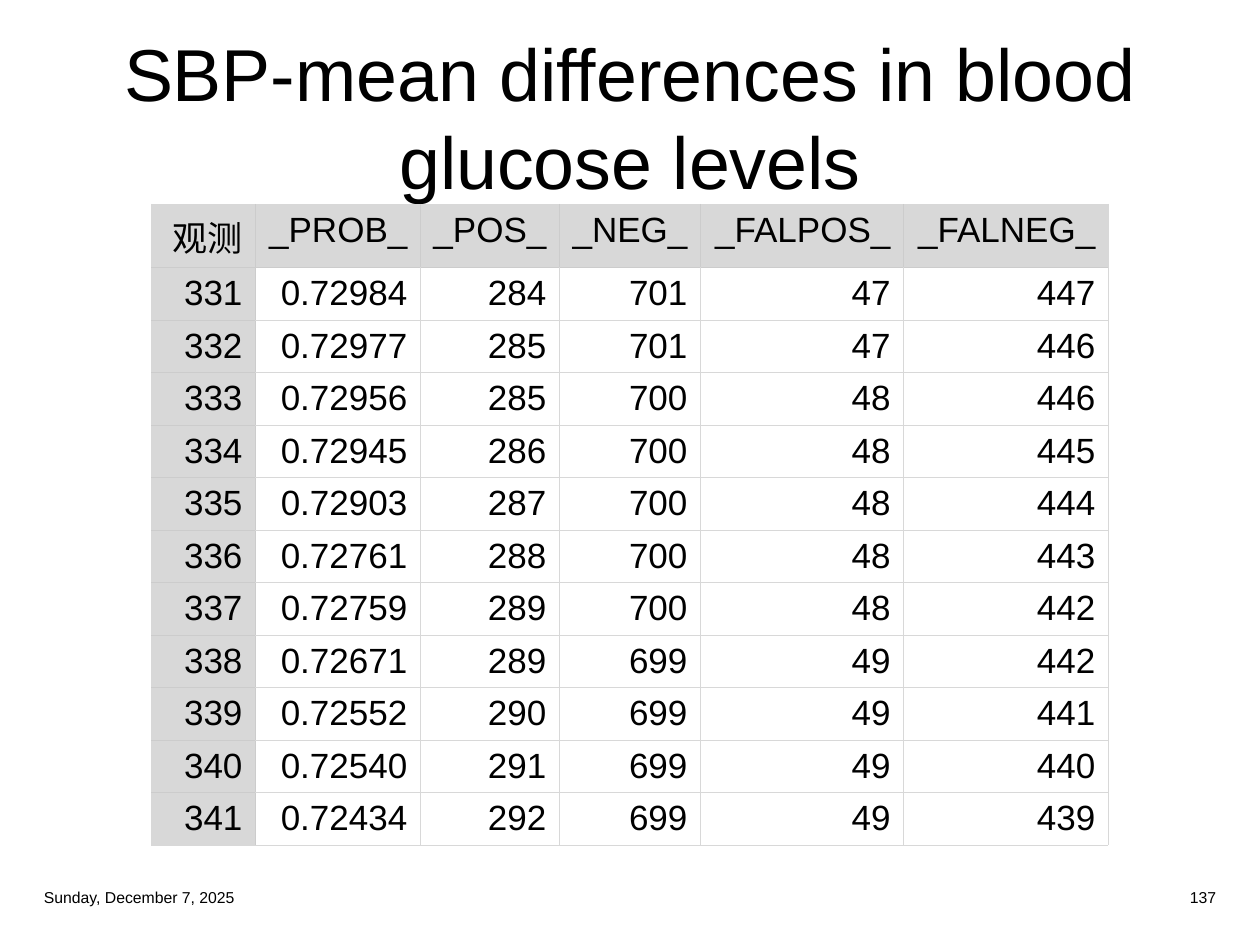
"""Build the slide on SBP mean differences in blood glucose levels."""
import pptx
import pptx.dml.color
import pptx.enum.text
import pptx.oxml
import pptx.oxml.ns
import pptx.util

Pt = pptx.util.Pt
ALIGN = pptx.enum.text.PP_ALIGN
MIDDLE = pptx.enum.text.MSO_ANCHOR.MIDDLE
COLORS = {"text": "000000", "header": "D8D8D8", "grid": "D8D8D8", "header_grid": "CCCCCC"}
FONT = "Arial"
COLUMN_WIDTHS = [59.3, 94.3, 79.4, 80.6, 116, 117.1]
ROW_HEIGHT = 30
ROWS = [
    ["观测", "_PROB_", "_POS_", "_NEG_", "_FALPOS_", "_FALNEG_"],
    ["331", "0.72984", "284", "701", "47", "447"],
    ["332", "0.72977", "285", "701", "47", "446"],
    ["333", "0.72956", "285", "700", "48", "446"],
    ["334", "0.72945", "286", "700", "48", "445"],
    ["335", "0.72903", "287", "700", "48", "444"],
    ["336", "0.72761", "288", "700", "48", "443"],
    ["337", "0.72759", "289", "700", "48", "442"],
    ["338", "0.72671", "289", "699", "49", "442"],
    ["339", "0.72552", "290", "699", "49", "441"],
    ["340", "0.72540", "291", "699", "49", "440"],
    ["341", "0.72434", "292", "699", "49", "439"],
]


def rgb(name):
    """Return the named colour."""
    return pptx.dml.color.RGBColor.from_string(COLORS[name])


def write(text_frame, text, size, alignment):
    """Put one formatted paragraph into a text frame."""
    text_frame.text = text
    paragraph = text_frame.paragraphs[0]
    paragraph.alignment = alignment
    for run in paragraph.runs:
        run.font.size = Pt(size)
        run.font.name = FONT
        run.font.bold = False
        run.font.color.rgb = rgb("text")
    return paragraph


def add_title(slide, text):
    """Place and format the title placeholder."""
    title = slide.shapes.title
    title.left, title.top, title.width, title.height = Pt(18), Pt(18), Pt(684), Pt(94.5)
    frame = title.text_frame
    frame.word_wrap = True
    frame.auto_size = pptx.enum.text.MSO_AUTO_SIZE.NONE
    frame.vertical_anchor = MIDDLE
    frame.margin_top = Pt(6)
    write(frame, text, 42, ALIGN.CENTER).line_spacing = Pt(50.4)


def add_footer(slide, text, left, alignment):
    """Add a small text box at the foot of the slide."""
    frame = slide.shapes.add_textbox(Pt(left), Pt(503.5), Pt(171), Pt(18.75)).text_frame
    frame.word_wrap = True
    frame.vertical_anchor = MIDDLE
    write(frame, text, 9, alignment)


def set_borders(cell, edge_colors):
    """Draw the cell borders, given in the order left, right, top, bottom."""
    properties = cell._tc.get_or_add_tcPr()
    for index, (tag, color) in enumerate(zip(("lnL", "lnR", "lnT", "lnB"), edge_colors)):
        properties.insert(index, pptx.oxml.parse_xml(
            f'<a:{tag} {pptx.oxml.ns.nsdecls("a")} w="{Pt(0.5)}"><a:solidFill>'
            f'<a:srgbClr val="{COLORS[color]}"/></a:solidFill></a:{tag}>'))


def edge_colors(row, column):
    """Choose edge colours: darker on inner edges that touch a header cell."""
    last_row, last_column = len(ROWS) - 1, len(COLUMN_WIDTHS) - 1
    is_header = row == 0 or column == 0
    darker = (
        column > 0 and (row == 0 or column == 1),
        column < last_column and is_header,
        row > 0 and (column == 0 or row == 1),
        row < last_row and is_header,
    )
    return ["header_grid" if dark else "grid" for dark in darker]


def add_data_table(slide, left, top):
    """Add the table with a shaded header row and first column."""
    frame = slide.shapes.add_table(
        len(ROWS), len(COLUMN_WIDTHS), Pt(left), Pt(top),
        Pt(sum(COLUMN_WIDTHS)), Pt(ROW_HEIGHT * len(ROWS)))
    table = frame.table
    table.first_row = False
    table.horz_banding = False
    for column, width in zip(table.columns, COLUMN_WIDTHS):
        column.width = Pt(width)
    for row_index, values in enumerate(ROWS):
        table.rows[row_index].height = Pt(ROW_HEIGHT)
        for column_index, value in enumerate(values):
            cell = table.cell(row_index, column_index)
            write(cell.text_frame, value, 20, ALIGN.RIGHT)
            if row_index == 0 or column_index == 0:
                cell.fill.solid()
                cell.fill.fore_color.rgb = rgb("header")
            else:
                cell.fill.background()
            set_borders(cell, edge_colors(row_index, column_index))


def main():
    """Build and save the presentation."""
    presentation = pptx.Presentation()
    presentation.slide_width, presentation.slide_height = Pt(720), Pt(540)
    slide = presentation.slides.add_slide(presentation.slide_layouts[5])
    add_title(slide, "SBP-mean differences in blood\vglucose levels")
    add_data_table(slide, 86.5, 116.75)
    add_footer(slide, "Sunday, December 7, 2025", 18, ALIGN.LEFT)
    add_footer(slide, "137", 531, ALIGN.RIGHT)
    presentation.save("out.pptx")


if __name__ == "__main__":
    main()
